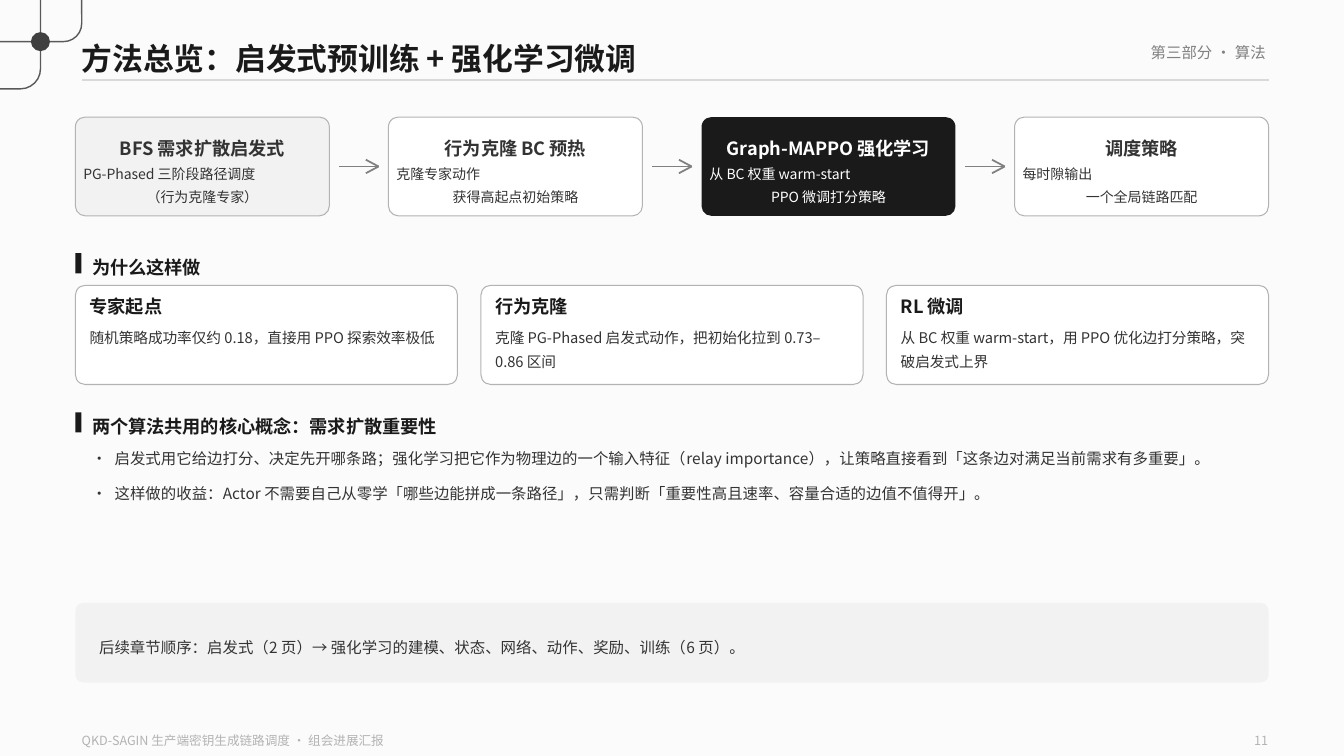
from dataclasses import dataclass

import pptx
import pptx.dml.color
import pptx.enum.shapes
import pptx.enum.text
import pptx.oxml.ns
import pptx.util

Cm = pptx.util.Cm
Pt = pptx.util.Pt
qn = pptx.oxml.ns.qn
MSO_SHAPE = pptx.enum.shapes.MSO_SHAPE
ALIGN = pptx.enum.text.PP_ALIGN
ANCHOR = pptx.enum.text.MSO_ANCHOR


@dataclass(frozen=True)
class Theme:
    font: str = "Noto Sans CJK SC"
    page: str = "FBFBFB"
    panel: str = "F2F2F2"
    white: str = "FFFFFF"
    ink: str = "1A1A1A"
    body: str = "333333"
    dot: str = "404040"
    corner: str = "595959"
    muted: str = "808080"
    border: str = "B3B3B3"
    rule: str = "D9D9D9"
    title_size: float = 22
    heading_size: float = 13
    text_size: float = 11
    card_size: float = 10.5
    step_size: float = 10
    footer_size: float = 9


T = Theme()
LEFT, WIDTH = 1.9, 30.07

STEPS = [
    ("BFS 需求扩散启发式", "PG-Phased 三阶段路径调度\n（行为克隆专家）", T.panel, T.border, T.body),
    ("行为克隆 BC 预热", "克隆专家动作\n获得高起点初始策略", T.white, T.border, T.body),
    ("Graph-MAPPO 强化学习", "从 BC 权重 warm-start\nPPO 微调打分策略", T.ink, None, T.white),
    ("调度策略", "每时隙输出\n一个全局链路匹配", T.white, T.border, T.body),
]
REASONS = [
    ("专家起点", "随机策略成功率仅约 0.18，直接用 PPO 探索效率极低"),
    ("行为克隆", "克隆 PG-Phased 启发式动作，把初始化拉到 0.73–0.86 区间"),
    ("RL 微调", "从 BC 权重 warm-start，用 PPO 优化边打分策略，突破启发式上界"),
]
CONCEPTS = [
    "启发式用它给边打分、决定先开哪条路；强化学习把它作为物理边的一个输入特征（relay importance），"
    "让策略直接看到「这条边对满足当前需求有多重要」。",
    "这样做的收益：Actor 不需要自己从零学「哪些边能拼成一条路径」，"
    "只需判断「重要性高且速率、容量合适的边值不值得开」。",
]


def rgb(value):
    return pptx.dml.color.RGBColor.from_string(value)


def add_child(parent, tag, **attributes):
    parent.append(parent.makeelement(qn(tag), attributes))


def add_bullet(p, char, indent):
    pPr = p._p.get_or_add_pPr()
    pPr.set("marL", str(Cm(indent)))
    pPr.set("indent", str(-Cm(indent)))
    add_child(pPr, "a:buFont", typeface=T.font)
    add_child(pPr, "a:buChar", char=char)


def add_text(slide, box, *paragraphs, size=T.text_size, color=T.body, bold=False,
             align=ALIGN.LEFT, anchor=ANCHOR.TOP, spacing=1.3, before=0, bullet=None):
    sp = slide.shapes.add_textbox(*map(Cm, box))
    tf = sp.text_frame
    tf.margin_left = tf.margin_top = tf.margin_right = tf.margin_bottom = 0
    tf.word_wrap = True
    tf.auto_size = pptx.enum.text.MSO_AUTO_SIZE.SHAPE_TO_FIT_TEXT
    tf.vertical_anchor = anchor
    for i, text in enumerate(paragraphs):
        p = tf.add_paragraph() if i else tf.paragraphs[0]
        if bullet:
            add_bullet(p, bullet, 0.58)
        p.alignment = align
        p.line_spacing = spacing
        if i and before:
            p.space_before = Pt(before)
        r = p.add_run()
        r.text = text
        r.font.size = Pt(size)
        r.font.bold = bold
        r.font.color.rgb = rgb(color)
        r.font.name = T.font
        add_child(r._r.rPr, "a:ea", typeface=T.font)


def add_box(slide, kind, box, fill=None, line=None, weight=0.75, radius=None):
    sp = slide.shapes.add_shape(kind, *map(Cm, box))
    sp.shadow.inherit = False
    if radius is not None:
        sp.adjustments[0] = radius
    if fill:
        sp.fill.solid()
        sp.fill.fore_color.rgb = rgb(fill)
    else:
        sp.fill.background()
    if line:
        sp.line.color.rgb = rgb(line)
        sp.line.width = Pt(weight)
    else:
        sp.line.fill.background()


def add_line(slide, x1, y1, x2, y2, color, weight):
    line = slide.shapes.add_connector(
        pptx.enum.shapes.MSO_CONNECTOR.STRAIGHT, Cm(x1), Cm(y1), Cm(x2), Cm(y2))
    line.line.color.rgb = rgb(color)
    line.line.width = Pt(weight)
    add_child(line._element.spPr, "a:effectLst")


def add_arrow(slide, x1, x2, y):
    """Draw a horizontal arrow with an open head."""
    head_w, head_h = 0.32, 0.17
    for x, dy in ((x1, 0), (x2 - head_w, -head_h), (x2 - head_w, head_h)):
        add_line(slide, x, y + dy, x2, y, T.muted, 1.25)


def add_corner(slide):
    rounded = MSO_SHAPE.ROUNDED_RECTANGLE
    add_box(slide, rounded, (-3.48, -1.14, 4.5, 3.38), line=T.corner, weight=1, radius=0.149)
    add_box(slide, rounded, (-1.62, -0.93, 3.68, 1.98), line=T.corner, weight=1, radius=0.231)
    add_box(slide, MSO_SHAPE.OVAL, (0.78, 0.81, 0.48, 0.48), fill=T.dot)


def add_header(slide, left, top, width):
    add_text(slide, (left, top, 20, 1.19), "方法总览：启发式预训练 + 强化学习微调",
             size=T.title_size, color=T.ink, bold=True)
    add_line(slide, left, top + 1.31, left + width, top + 1.31, T.rule, 1)
    add_text(slide, (left + width - 10.48, top + 0.23, 10.4, 0.79), "第三部分 · 算法",
             color=T.muted, align=ALIGN.RIGHT)


def add_footer(slide, left, top, width):
    style = dict(size=T.footer_size, color=T.border)
    add_text(slide, (left, top, 16, 0.51), "QKD-SAGIN 生产端密钥生成链路调度 · 组会进展汇报", **style)
    add_text(slide, (left + width - 4, top, 4, 0.51), "11", align=ALIGN.RIGHT, **style)


def add_pipeline(slide, left, top, width, height):
    step_w, pad, clearance = 6.4, 0.2, 0.25
    pitch = (width - step_w) / (len(STEPS) - 1)
    for i, (name, detail, fill, line, color) in enumerate(STEPS):
        x = left + i * pitch
        add_box(slide, MSO_SHAPE.ROUNDED_RECTANGLE, (x, top, step_w, height), fill, line, radius=0.1)
        style = dict(color=color, align=ALIGN.CENTER)
        add_text(slide, (x + pad, top + 0.34, step_w - 2 * pad, 0.79), name,
                 size=T.heading_size, bold=True, **style)
        add_text(slide, (x + pad, top + 1.22, step_w - 2 * pad, 1.09), detail,
                 size=T.step_size, spacing=1.35, **style)
        if i < len(STEPS) - 1:
            add_arrow(slide, x + step_w + clearance, x + pitch - clearance, top + height / 2)


def add_heading(slide, left, top, text):
    add_box(slide, MSO_SHAPE.RECTANGLE, (left, top, 0.15, 0.51), fill=T.ink)
    add_text(slide, (left + 0.42, top - 0.08, 30, 0.71), text,
             size=T.heading_size, color=T.ink, bold=True)


def add_reasons(slide, left, top, width, height):
    card_w, pad = 9.63, 0.36
    pitch = (width - card_w) / (len(REASONS) - 1)
    for i, (name, detail) in enumerate(REASONS):
        x = left + i * pitch
        add_box(slide, MSO_SHAPE.ROUNDED_RECTANGLE, (x, top, card_w, height),
                T.white, T.border, radius=0.1)
        add_text(slide, (x + pad, top + 0.08, card_w - 2 * pad, 0.86), name,
                 size=T.heading_size, color=T.ink, bold=True)
        add_text(slide, (x + pad, top + 0.95, card_w - 2 * pad, 1.45), detail,
                 size=T.card_size, spacing=1.35)


def add_note(slide, left, top, width, height):
    add_box(slide, MSO_SHAPE.ROUNDED_RECTANGLE, (left, top, width, height), T.panel, radius=0.1)
    add_text(slide, (left + 0.6, top + 0.25, width - 1.2, 1.6),
             "后续章节顺序：启发式（2 页）→ 强化学习的建模、状态、网络、动作、奖励、训练（6 页）。",
             anchor=ANCHOR.MIDDLE)


def main():
    prs = pptx.Presentation()
    prs.slide_width, prs.slide_height = Cm(33.87), Cm(19.05)
    slide = prs.slides.add_slide(prs.slide_layouts[6])
    slide.background.fill.solid()
    slide.background.fill.fore_color.rgb = rgb(T.page)
    add_corner(slide)
    add_header(slide, 2.06, 0.71, 29.92)
    add_footer(slide, 2.06, 18.35, 29.9)
    add_pipeline(slide, LEFT, 2.95, WIDTH, 2.49)
    add_heading(slide, LEFT, 6.38, "为什么这样做")
    add_reasons(slide, LEFT, 7.19, WIDTH, 2.5)
    add_heading(slide, LEFT, 10.39, "两个算法共用的核心概念：需求扩散重要性")
    add_text(slide, (LEFT + 0.41, 11.1, WIDTH, 3.61), *CONCEPTS,
             spacing=1.45, before=6, bullet="·")
    add_note(slide, LEFT, 15.19, WIDTH, 2.01)
    prs.save("out.pptx")


if __name__ == "__main__":
    main()
